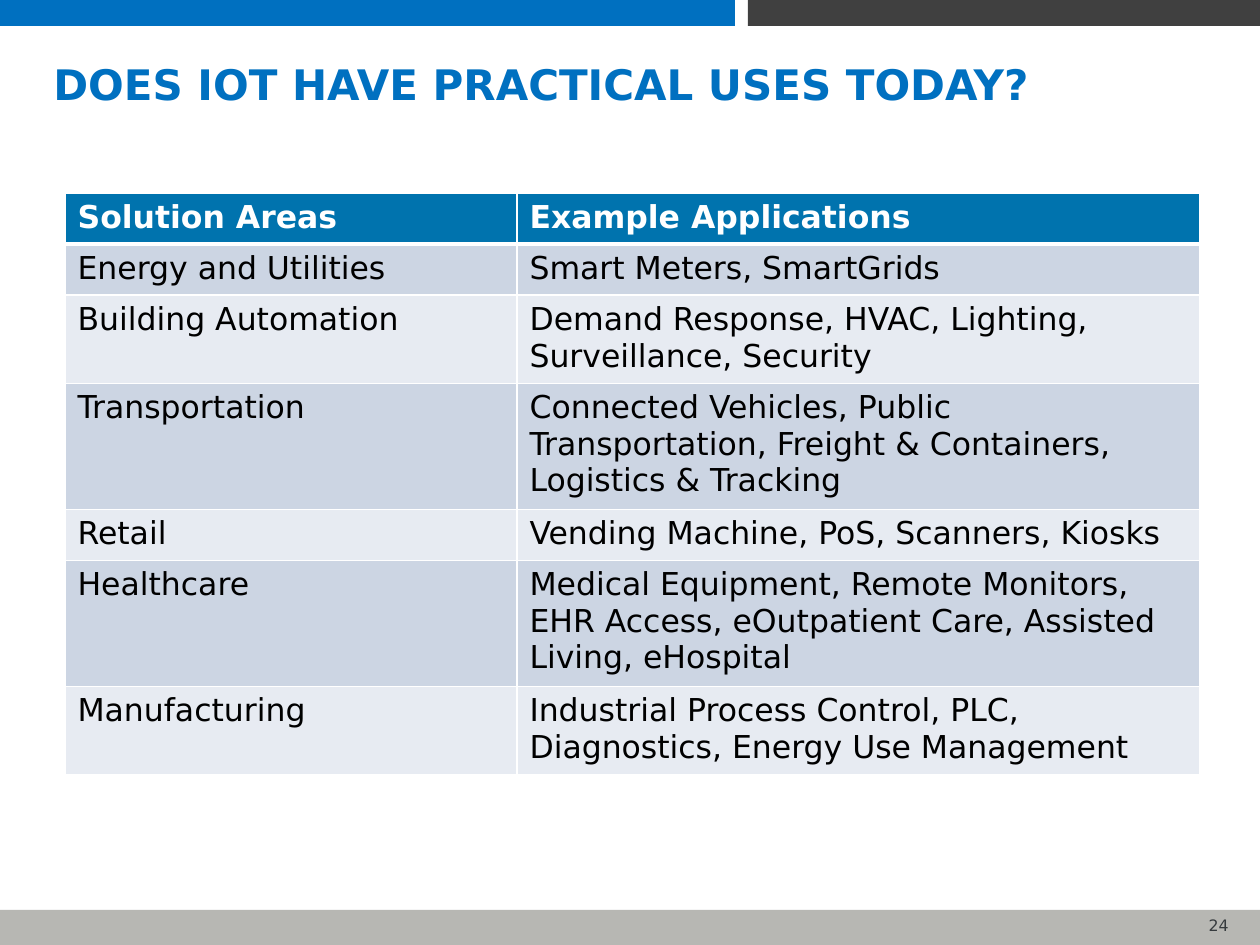
from lxml import etree
from pptx import Presentation
from pptx import util as u
from pptx.dml import color
from pptx.enum import shapes, text
from pptx.oxml import ns

PX = 914400 // 126
FONT = "DejaVu Sans"
BLUE, WHITE = "0070C0", "FFFFFF"
ROWS = [
    ("Solution Areas", "Example Applications"),
    ("Energy and Utilities", "Smart Meters, SmartGrids"),
    ("Building Automation",
     "Demand Response, HVAC, Lighting, Surveillance, Security"),
    ("Transportation",
     "Connected Vehicles, Public Transportation, Freight & Containers, "
     "Logistics & Tracking"),
    ("Retail", "Vending Machine, PoS, Scanners, Kiosks"),
    ("Healthcare",
     "Medical Equipment, Remote Monitors, EHR Access, eOutpatient Care, "
     "Assisted Living, eHospital"),
    ("Manufacturing",
     "Industrial Process Control, PLC, Diagnostics, Energy Use Management"),
]


def px(*vals):
    return [u.Emu(v * PX) for v in vals]


def rgb(code):
    return color.RGBColor.from_string(code)


def write(frame, words, size=18, ink="000000", bold=False, align=None):
    para = frame.paragraphs[0]
    para.alignment = align
    run = para.add_run()
    run.text = words
    run.font.name = FONT
    run.font.size = u.Pt(size)
    run.font.bold = bold
    run.font.color.rgb = rgb(ink)


def label(slide, box, words, anchor=text.MSO_ANCHOR.TOP, **form):
    frame = slide.shapes.add_textbox(*px(*box)).text_frame
    frame.word_wrap = True
    frame.vertical_anchor = anchor
    write(frame, words, **form)


def bar(slide, box, fill):
    shape = slide.shapes.add_shape(shapes.MSO_SHAPE.RECTANGLE, *px(*box))
    shape.shadow.inherit = False
    shape.fill.solid()
    shape.fill.fore_color.rgb = rgb(fill)
    shape.line.fill.background()


def edge(cell, low):
    """Draw white borders; low is the bottom width in points."""
    props = cell._tc.get_or_add_tcPr()
    sides = (("lnL", 1), ("lnR", 1), ("lnT", 1), ("lnB", low))
    for spot, (side, wide) in enumerate(sides):
        line = etree.Element(ns.qn("a:" + side), w=str(u.Pt(wide)))
        fill = etree.SubElement(line, ns.qn("a:solidFill"))
        etree.SubElement(fill, ns.qn("a:srgbClr"), val=WHITE)
        props.insert(spot, line)


def grid(slide, box, cols, high):
    table = slide.shapes.add_table(len(ROWS), len(cols), *px(*box)).table
    for col, wide in zip(table.columns, px(*cols)):
        col.width = wide
    for r, row in enumerate(ROWS):
        table.rows[r].height = px(high)[0]
        head = r == 0
        fill = "0073AE" if head else ("E7EBF2", "CCD5E3")[r % 2]
        for c, words in enumerate(row):
            cell = table.cell(r, c)
            cell.fill.solid()
            cell.fill.fore_color.rgb = rgb(fill)
            edge(cell, 3 if head else 1)
            write(cell.text_frame, words, bold=head,
                  ink=WHITE if head else "000000")


def main():
    deck = Presentation()
    deck.slide_width, deck.slide_height = px(1260, 945)
    slide = deck.slides.add_slide(deck.slide_layouts[6])

    # Footer with page number
    bar(slide, (0, 910, 1260, 35), "B7B7B3")
    label(slide, (1152, 910, 89, 31), "24", size=9, ink="363B3E",
          align=text.PP_ALIGN.RIGHT)

    # Top bars
    bar(slide, (0, 0, 735, 26), BLUE)
    bar(slide, (748, 0, 512, 26), "404040")

    # Title
    label(slide, (41, 47, 1155, 73), "DOES IOT HAVE PRACTICAL USES TODAY?",
          anchor=text.MSO_ANCHOR.MIDDLE, size=24, ink=BLUE, bold=True)

    # Table of solution areas
    grid(slide, (65, 193, 1135, 357), (452, 683), 51)

    deck.save("out.pptx")


if __name__ == "__main__":
    main()
